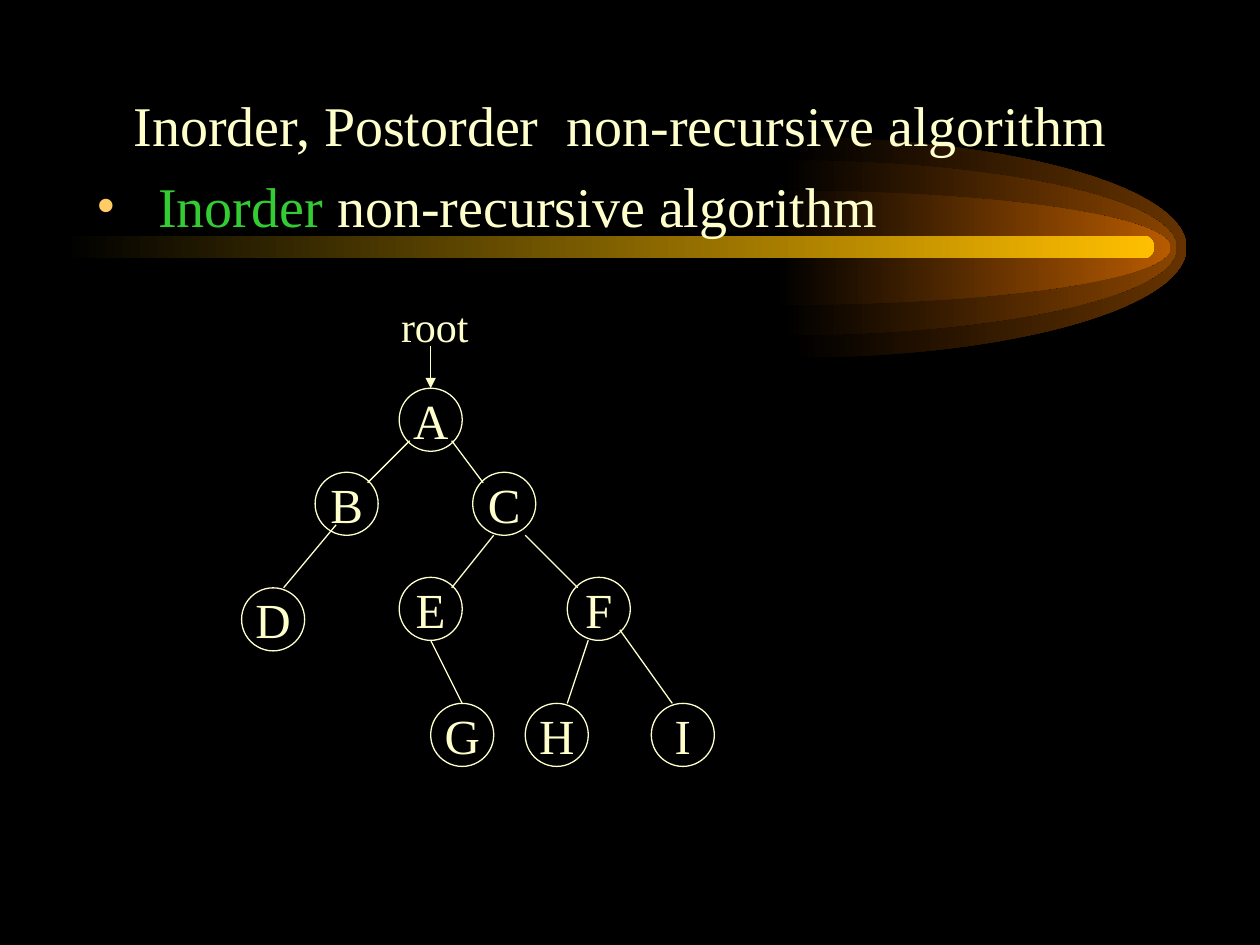
from lxml.etree import SubElement
from pptx import Presentation
from pptx.dml.color import RGBColor as RGB
from pptx.enum.shapes import MSO_CONNECTOR as LINE, MSO_SHAPE as SHAPE
from pptx.enum.text import MSO_ANCHOR as ANCHOR, MSO_AUTO_SIZE as AUTO, PP_ALIGN as ALIGN
from pptx.oxml.ns import qn
from pptx.util import Cm, Pt

COLORS = {
    "back": "000000", "text": "FFFFCC", "accent": "33CC33", "bullet": "FFCC66",
    "outer": "663300", "middle": "894400", "inner": "B75B00", "bar": "FFBF00",
}
FONT = "Times New Roman"
FRAME = {
    "auto_size": AUTO.NONE, "margin_left": Cm(0.25), "margin_right": Cm(0.25),
    "margin_top": Cm(0.13), "margin_bottom": Cm(0.13),
}
GLOWS = [
    ("outer", 14.7, 0, 4.44),
    ("middle", 14.5, 0.46, 3.53),
    ("inner", 14.38, 1.07, 2.31),
]
NODES = {
    "A": (15, 9), "B": (7, 17), "C": (22, 17), "D": (0, 28), "E": (15, 27),
    "F": (31, 27), "G": (18, 39), "H": (27, 39), "I": (39, 39),
}
EDGES = [
    ((16, 14), (12, 18)), ((9, 22), (4, 28)), ((20, 14), (23, 18)),
    ((24, 23), (20, 28)), ((27, 23), (32, 28)), ((18, 33), (21, 39)),
    ((33, 33), (31, 39)), ((36, 32), (41, 39)),
]


def rgb(name):
    """Return the named palette colour."""
    return RGB.from_string(COLORS[name])


def set_all(obj, values):
    """Set each attribute in the dict on the object."""
    for name, value in values.items():
        setattr(obj, name, value)


def add_run(p, text, size, color="text"):
    """Append a formatted run to a paragraph."""
    r = p.add_run()
    r.text = text
    set_all(r.font, {"name": FONT, "size": Pt(size)})
    r.font.color.rgb = rgb(color)


def fade(sp, color):
    """Fill a shape with a left-to-right fade from the background colour."""
    sp.shadow.inherit = False
    sp.line.fill.background()
    sp.fill.gradient()
    sp.fill.gradient_angle = 0
    for stop, name in zip(sp.fill.gradient_stops, ("back", color)):
        stop.color.rgb = rgb(name)


def add_half_ellipse(shapes, x, y, w, h):
    """Draw the right half of an ellipse with two cubic curves."""
    mid = h // 2
    builder = shapes.build_freeform(x, y)
    builder.add_line_segments([(x + w, y + mid), (x, y + h), (x, y + mid)])
    sp = builder.convert_to_shape()
    kx, ky = 0.55 * w, 0.45 * mid
    controls = [((kx, 0), (w, ky)), ((w, h - ky), (kx, h))]
    for segment, pair in zip(list(sp._element.iter(qn("a:lnTo"))), controls):
        segment.tag = qn("a:cubicBezTo")
        for i, (px, py) in enumerate(pair):
            pt = SubElement(segment, qn("a:pt"), x=str(round(px)), y=str(round(py)))
            segment.insert(i, pt)
    return sp


def add_comet(s, master, x, y, w):
    """Draw the glowing bar in the given box and place it on the master."""
    group = s.shapes.add_group_shape()
    for color, dx, dy, h in GLOWS:
        fade(add_half_ellipse(group.shapes, x + Cm(dx), y + Cm(dy), Cm(7.95), Cm(h)), color)
    bar = group.shapes.add_shape(SHAPE.ROUNDED_RECTANGLE, x, y + Cm(1.98), w, Cm(0.46))
    bar.adjustments[0] = 0.5
    fade(bar, "bar")
    for i, props in enumerate(group._element.iter(qn("p:cNvPr")), 20):
        props.set("id", str(i))
    master.shapes._spTree.append(group._element)


def set_indent(p, left, first, bullet=None):
    """Set the indents and the bullet of a paragraph."""
    pPr = p._p.get_or_add_pPr()
    pPr.set("marL", str(left))
    pPr.set("indent", str(first))
    if not bullet:
        SubElement(pPr, qn("a:buNone"))
        return
    SubElement(SubElement(pPr, qn("a:buClr")), qn("a:srgbClr"), val=COLORS["bullet"])
    SubElement(pPr, qn("a:buFont"), typeface=FONT)
    SubElement(pPr, qn("a:buChar"), char=bullet)


def add_body(sp, x, y, w, h):
    """Fill the body placeholder with the heading and its bullet."""
    set_all(sp, {"left": x, "top": y, "width": w, "height": h})
    tf = sp.text_frame
    set_all(tf, FRAME)
    p = tf.paragraphs[0]
    p.space_before = Pt(0)
    set_indent(p, Cm(0.74), 0)
    add_run(p, "Inorder, Postorder  non-recursive algorithm", 32)
    p = tf.add_paragraph()
    p.space_before = Pt(8)
    set_indent(p, Cm(1.24), -Cm(1.24), "•")
    add_run(p, "Inorder ", 32, "accent")
    add_run(p, "non-recursive algorithm", 32)


def add_label(sp, text, size, align, anchor):
    """Write a single unwrapped line in a shape."""
    tf = sp.text_frame
    set_all(tf, {**FRAME, "word_wrap": False, "vertical_anchor": anchor})
    p = tf.paragraphs[0]
    p.alignment = align
    add_run(p, text, size)


def add_tree(s, x, y, w):
    """Draw the binary tree on a square grid of 45 units in the given box."""
    shapes = s.shapes.add_group_shape().shapes
    unit = w / 45
    side = round(6 * unit)

    def at(point):
        """Convert grid units to a slide position."""
        return round(x + point[0] * unit), round(y + point[1] * unit)

    def add_line(start, end):
        """Join two grid points."""
        line = shapes.add_connector(LINE.STRAIGHT, *at(start), *at(end))
        line.line.color.rgb = rgb("text")
        line.line.width = Pt(0.75)
        SubElement(line._element.spPr, qn("a:effectLst"))
        return line

    for name, point in NODES.items():
        sp = shapes.add_shape(SHAPE.OVAL, *at(point), side, side)
        sp.shadow.inherit = False
        sp.fill.background()
        sp.line.color.rgb = rgb("text")
        sp.line.width = Pt(0.75)
        add_label(sp, name, 28, ALIGN.CENTER, ANCHOR.MIDDLE)
    for start, end in EDGES:
        add_line(start, end)
    root = shapes.add_textbox(*at((14, 0)), Cm(1.88), side)
    add_label(root, "root", 24, ALIGN.LEFT, ANCHOR.TOP)
    arrow = add_line((18, 5), (18, 9))
    SubElement(arrow.line._get_or_add_ln(), qn("a:tailEnd"), type="triangle")


def main():
    """Build and save the slide."""
    prs = Presentation()
    prs.slide_width, prs.slide_height = Cm(25.4), Cm(19.05)
    master = prs.slide_master
    master.background.fill.solid()
    master.background.fill.fore_color.rgb = rgb("back")
    s = prs.slides.add_slide(prs.slide_layouts[1])
    title = s.shapes.title._element
    title.getparent().remove(title)
    add_comet(s, master, Cm(1.27), Cm(2.77), Cm(22))
    add_body(s.placeholders[1], Cm(1.7), Cm(1.7), Cm(21.59), Cm(16.31))
    add_tree(s, Cm(4.87), Cm(5.92), Cm(9.53))
    prs.save("out.pptx")


if __name__ == "__main__":
    main()
